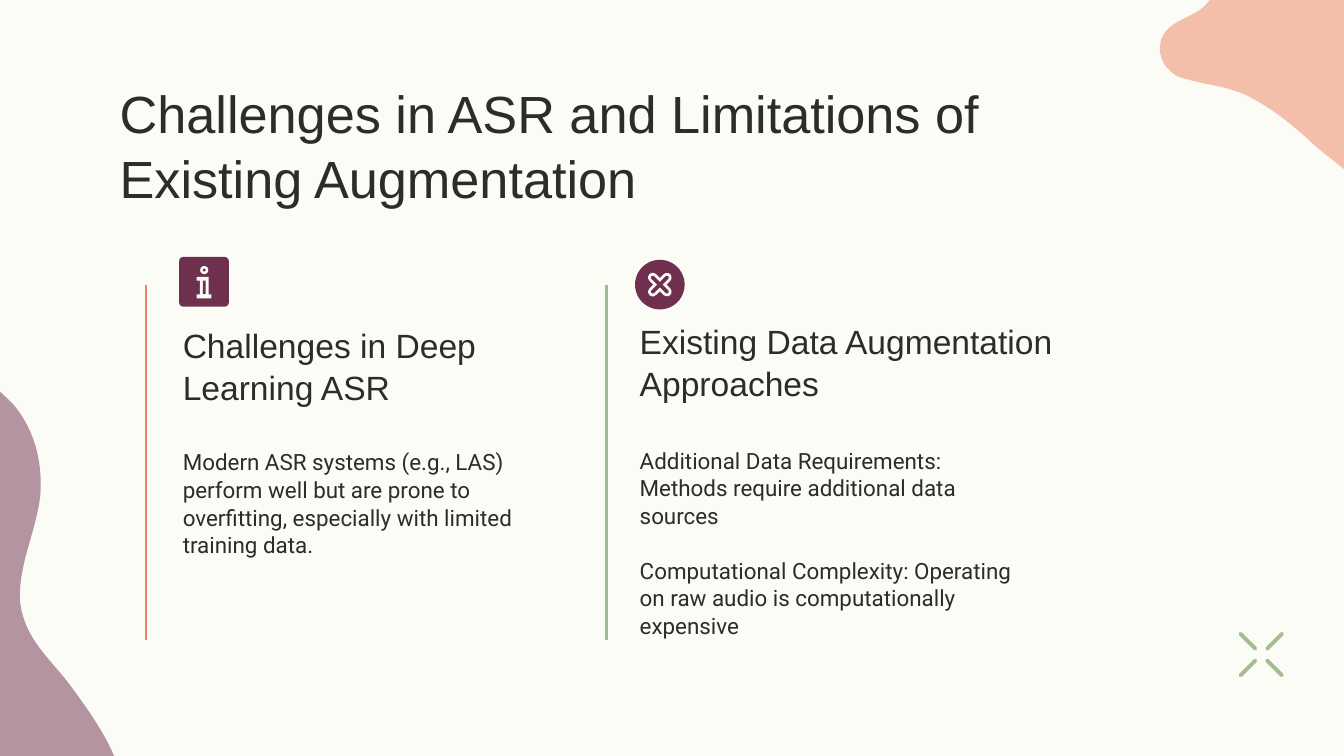
"""Builds a slide on the challenges in ASR and the limits of existing augmentation."""
from dataclasses import dataclass
from itertools import product

from pptx import Presentation
from pptx.dml.color import RGBColor
from pptx.enum.shapes import MSO_CONNECTOR as CONN, MSO_SHAPE as SHAPE
from pptx.enum.text import MSO_ANCHOR as ANCHOR, MSO_AUTO_SIZE as AUTO, PP_ALIGN as ALIGN
from pptx.oxml.ns import qn
from pptx.util import Pt

CREAM = RGBColor(0xFC, 0xFC, 0xF6)
INK = RGBColor(0x2C, 0x2C, 0x2C)
PLUM = RGBColor(0x6F, 0x30, 0x4F)
CORAL = RGBColor(0xEE, 0x83, 0x60)
SAGE = RGBColor(0xA1, 0xBD, 0x91)

Point = tuple[float, float]


@dataclass
class Blob:
    start: Point
    curves: list[tuple[float, ...]]
    color: RGBColor
    opacity: int


@dataclass
class Block:
    idx: int
    box: tuple[float, float, float, float]
    paragraphs: list[str]
    font: str
    size: float
    anchor: ANCHOR = ANCHOR.TOP


BLOBS = [
    Blob((-96.5, 244.1), [
        (-101.5, 267.8, -87.8, 289.4, -69.8, 304.6), (-65.5, 308.9, -59.8, 312.5, -56.9, 318.2),
        (-54, 324, -54.7, 331.2, -56.2, 337), (-64.8, 367.9, -105.1, 388.8, -99.4, 424.1),
        (-95, 448.6, -65.5, 451.4, -45.4, 447.1), (-26.6, 442.8, -8.6, 426.2, 11.5, 431.3),
        (28.1, 435.6, 42.5, 446.4, 56.9, 430.6), (60.5, 426.2, 63.4, 421.2, 63.4, 415.4),
        (63.4, 410.4, 61.2, 404.6, 59, 400.3), (52.6, 387.4, 44.6, 376.6, 36, 365),
        (25.2, 351.4, 13, 341.3, 10.8, 322.6), (9.4, 303.1, 19.4, 285.1, 21.6, 265.7),
        (23, 247.7, 18.7, 230.4, 7.2, 216.7), (-15.8, 189.4, -63.4, 197.3, -85.7, 221.8),
        (-91.4, 228.2, -95, 236.2, -96.5, 244.1)], PLUM, 51),
    Blob((782.6, 36.7), [
        (781.9, 36, 781.2, 35.3, 780.5, 34.6), (775.4, 29.5, 769, 26.6, 763.2, 23),
        (738.7, 8.6, 725, -17.3, 706.3, -37.4), (691.2, -54, 671.8, -47.5, 661, -29.5),
        (654.5, -18, 653.8, -2.2, 642.2, 5.8), (632.9, 11.5, 620.6, 13.7, 621.4, 27.4),
        (622.1, 31.7, 623.5, 35.3, 626.4, 37.4), (628.6, 40.3, 632.2, 41.8, 635.8, 42.5),
        (648, 46.1, 659.5, 46.1, 671.8, 53.3), (684, 59.8, 694.8, 69.1, 704.9, 78.5),
        (709.9, 82.8, 715, 86.4, 720, 90.7), (752.4, 118.1, 810.7, 71.3, 782.6, 36.7)], CORAL, 50),
]

BLOCKS = [
    Block(0, (56.9, 35.3, 486.7, 45.4),
          ["Challenges in ASR and Limitations of Existing Augmentation"], "Arial", 28),
    Block(1, (90.7, 191.5, 221, 33.8), ["Challenges in Deep Learning ASR"],
          "Arial", 18, ANCHOR.BOTTOM),
    Block(2, (90.7, 232.6, 221, 115.2),
          ["Modern ASR systems (e.g., LAS) perform well but are prone to overfitting, "
           "especially with limited training data."], "Roboto", 12),
    Block(3, (335.5, 172.1, 242.6, 51.1), ["Existing Data Augmentation Approaches"],
          "Arial", 18, ANCHOR.BOTTOM),
    Block(4, (335.5, 231.8, 221, 115.2),
          ["Additional Data Requirements: Methods require additional data sources",
           "Computational Complexity: Operating on raw audio is computationally expensive"],
          "Roboto", 12),
]

INFO_STEM = [(105.3, 148.3), (111.7, 148.3), (111.7, 157.7), (113.2, 157.7), (113.2, 159.8),
             (105.3, 159.8), (105.3, 157.7), (107.1, 157.7), (107.1, 150.4), (105.3, 150.4)]


def paint(sp, color: RGBColor) -> None:
    sp.shadow.inherit = False
    sp.fill.solid()
    sp.fill.fore_color.rgb = color
    sp.line.fill.background()


def add_polygon(s, points: list[Point], color: RGBColor):
    (x, y), *rest = [(Pt(px), Pt(py)) for px, py in points]
    fb = s.shapes.build_freeform(x, y)
    fb.add_line_segments(rest, close=True)
    sp = fb.convert_to_shape()
    paint(sp, color)
    return sp


def add_blob(s, blob: Blob, steps: int = 12) -> None:
    points = [blob.start]
    for x1, y1, x2, y2, x3, y3 in blob.curves:
        x0, y0 = points[-1]
        for i in range(1, steps + 1):
            t = i / steps
            u = 1 - t
            a, b, c, d = u ** 3, 3 * u * u * t, 3 * u * t * t, t ** 3
            points.append((a * x0 + b * x1 + c * x2 + d * x3, a * y0 + b * y1 + c * y2 + d * y3))
    sp = add_polygon(s, points, blob.color)
    clr = sp.element.spPr.find(".//" + qn("a:srgbClr"))
    clr.makeelement(qn("a:alpha"), {})
    alpha = clr.makeelement(qn("a:alpha"), {"val": str(blob.opacity * 1000)})
    clr.append(alpha)


def add_centred(s, kind: SHAPE, center: Point, w: float, h: float, color: RGBColor,
                rotation: float = 0, radius: float | None = None) -> None:
    x, y = center
    sp = s.shapes.add_shape(kind, Pt(x - w / 2), Pt(y - h / 2), Pt(w), Pt(h))
    sp.rotation = rotation
    if radius is not None:
        sp.adjustments[0] = radius
    paint(sp, color)


def add_line(s, start: Point, end: Point, color: RGBColor, width: float,
             cap: str = "flat") -> None:
    ln = s.shapes.add_connector(CONN.STRAIGHT, *(Pt(v) for v in (*start, *end)))
    ln.line.color.rgb = color
    ln.line.width = Pt(width)
    ln.line._get_or_add_ln().set("cap", cap)
    spPr = ln.element.spPr
    spPr.append(spPr.makeelement(qn("a:effectLst"), {}))


def write(sp, paragraphs: list[str], *, font: str, size: float, anchor: ANCHOR,
          color: RGBColor = INK, spacing: float = 1.03) -> None:
    tf = sp.text_frame
    tf.word_wrap = True
    tf.auto_size = AUTO.NONE
    tf.vertical_anchor = anchor
    tf.margin_left = tf.margin_right = tf.margin_top = tf.margin_bottom = Pt(7.2)
    for i, text in enumerate(paragraphs):
        p = tf.add_paragraph() if i else tf.paragraphs[0]
        pPr = p._p.get_or_add_pPr()
        pPr.set("marL", "0")
        pPr.set("indent", "0")
        pPr.append(pPr.makeelement(qn("a:buNone"), {}))
        p.alignment = ALIGN.LEFT
        p.line_spacing = spacing
        p.space_before = Pt(size * 1.2 if i else 0)
        r = p.add_run()
        r.text = text
        r.font.name = font
        r.font.size = Pt(size)
        r.font.bold = False
        r.font.color.rgb = color


def add_info_icon(s) -> None:
    add_centred(s, SHAPE.ROUNDED_RECTANGLE, (109.3, 151), 26.7, 26.7, PLUM, radius=0.09)
    for size, color in ((4.4, CREAM), (1.5, PLUM)):
        add_centred(s, SHAPE.OVAL, (109.4, 144.7), size, size, color)
    add_polygon(s, INFO_STEM, CREAM)
    add_centred(s, SHAPE.RECTANGLE, (109.4, 154), 1.5, 7.3, PLUM)


def add_cross_icon(s) -> None:
    center = (353.5, 152.5)
    add_centred(s, SHAPE.OVAL, center, 26.6, 26.6, PLUM)
    for (w, h, color), angle in product(((15.8, 5, CREAM), (12.6, 2, PLUM)), (45, 135)):
        add_centred(s, SHAPE.ROUNDED_RECTANGLE, center, w, h, color, angle, 0.5)


def add_spark(s, x: float, y: float, inner: float, outer: float) -> None:
    for dx, dy in product((-1, 1), repeat=2):
        add_line(s, (x + dx * inner, y + dy * inner), (x + dx * outer, y + dy * outer),
                 SAGE, 2.1, "rnd")


def main() -> None:
    prs = Presentation()
    prs.slide_width, prs.slide_height = Pt(720), Pt(405)
    s = prs.slides.add_slide(prs.slide_layouts.get_by_name("Comparison"))
    s.background.fill.solid()
    s.background.fill.fore_color.rgb = CREAM
    for blob in BLOBS:
        add_blob(s, blob)
    add_spark(s, 675.7, 350.7, 3.2, 11.1)
    holders = {sp.placeholder_format.idx: sp for sp in s.placeholders}
    for block in BLOCKS:
        sp = holders[block.idx]
        sp.left, sp.top, sp.width, sp.height = (Pt(v) for v in block.box)
        write(sp, block.paragraphs, font=block.font, size=block.size, anchor=block.anchor)
    for x, color in ((78.2, CORAL), (324.8, SAGE)):
        add_line(s, (x, 152.6), (x, 342.7), color, 1.5)
    add_info_icon(s)
    add_cross_icon(s)
    prs.save("out.pptx")


if __name__ == "__main__":
    main()
